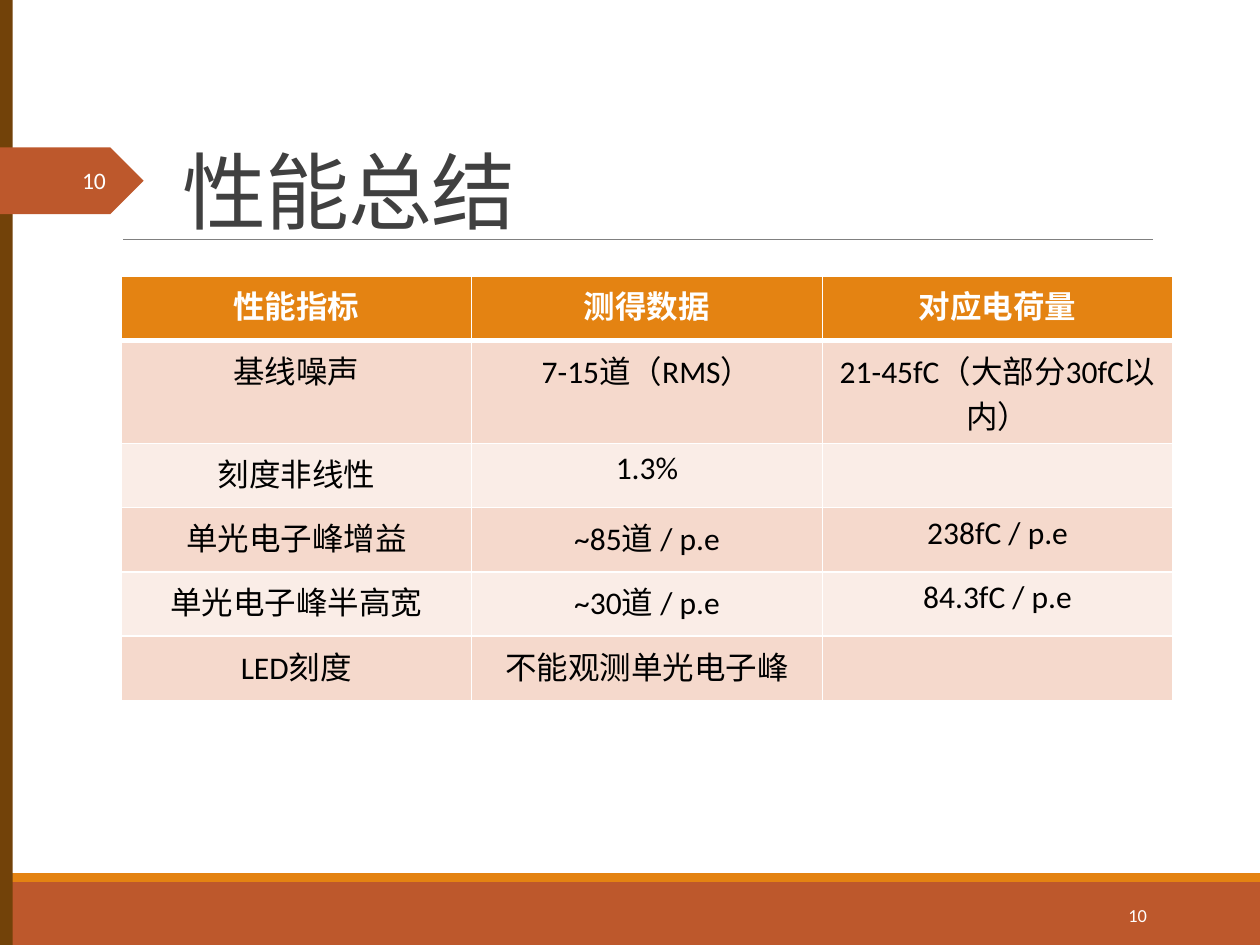
from lxml import etree
from pptx import Presentation
from pptx import util as u
from pptx.dml.color import RGBColor
from pptx.enum import shapes, text
from pptx.oxml.ns import qn

LATIN, CHINESE = "Calibri", "Noto Sans CJK SC"
WHITE, RUST, ORANGE = "FFFFFF", "BD582C", "E48312"
BAND_FILLS = ("F5D9CC", "FAEDE7")
PAGE_NUMBER = "10"
ROWS = [
    ("性能指标", "测得数据", "对应电荷量"),
    ("基线噪声", "7-15道（RMS）", "21-45fC（大部分30fC以内）"),
    ("刻度非线性", "1.3%", ""),
    ("单光电子峰增益", "~85道 / p.e", "238fC / p.e"),
    ("单光电子峰半高宽", "~30道 / p.e", "84.3fC / p.e"),
    ("LED刻度", "不能观测单光电子峰", ""),
]
# The first data row holds two lines of text.
ROW_HEIGHTS = [0.51, 0.82] + [0.51] * 4


def color(hex_value):
    return RGBColor.from_string(hex_value)


def place(left, top, width, height):
    return [u.Inches(value) for value in (left, top, width, height)]


def add_span(para, words, size, hex_value, bold=False, latin=LATIN):
    span = para.add_run()
    span.text = words
    font = span.font
    font.size, font.bold, font.name = u.Pt(size), bold, latin
    font.color.rgb = color(hex_value)
    etree.SubElement(span._r.get_or_add_rPr(), qn("a:ea"), typeface=CHINESE)
    return span


def add_block(page, kind, bounds, fill):
    block = page.shapes.add_shape(kind, *place(*bounds))
    block.shadow.inherit = False
    block.fill.solid()
    block.fill.fore_color.rgb = color(fill)
    block.line.fill.background()


def add_rule(page, left, right, top):
    rule = page.shapes.add_connector(
        shapes.MSO_CONNECTOR.STRAIGHT,
        *place(left, top, right, top))
    rule.line.color.rgb = color("808080")
    rule.line.width = u.Pt(0.5)
    etree.SubElement(rule._element.spPr, qn("a:effectLst"))


def add_page_number(page, bounds, size, side_margin):
    box = page.shapes.add_textbox(*place(*bounds))
    frame = box.text_frame
    frame.word_wrap = True
    frame.vertical_anchor = text.MSO_ANCHOR.MIDDLE
    frame.margin_left = frame.margin_right = u.Inches(side_margin)
    frame.margin_top = frame.margin_bottom = u.Inches(0.04)
    para = frame.paragraphs[0]
    para.alignment = text.PP_ALIGN.RIGHT
    add_span(para, PAGE_NUMBER, size, WHITE)


def set_title(page, words):
    title = page.shapes.title
    title.left, title.top, title.width, title.height = place(1.35, 0.37, 8.25, 1.59)
    frame = title.text_frame
    frame.word_wrap = True
    frame.auto_size = text.MSO_AUTO_SIZE.NONE
    frame.vertical_anchor = text.MSO_ANCHOR.BOTTOM
    para = frame.paragraphs[0]
    para.alignment = text.PP_ALIGN.LEFT
    para.line_spacing = 0.85
    span = add_span(para, words, 48, "404040", latin=CHINESE)
    span._r.get_or_add_rPr().set("spc", "-50")


def set_borders(cell, bottom_width, top_width):
    """Draw white cell edges; call before the fill, which must follow them in the XML."""
    properties = cell._tc.get_or_add_tcPr()
    widths = {"a:lnL": 1, "a:lnR": 1, "a:lnT": top_width, "a:lnB": bottom_width}
    for edge, width in widths.items():
        line = etree.SubElement(properties, qn(edge), w=str(u.Pt(width)))
        fill = etree.SubElement(line, qn("a:solidFill"))
        etree.SubElement(fill, qn("a:srgbClr"), val=WHITE)


def add_results_table(page):
    frame = page.shapes.add_table(
        len(ROWS), len(ROWS[0]), *place(0.96, 2.19, 8.35, sum(ROW_HEIGHTS)))
    table = frame.table
    for row_index, (row, height) in enumerate(zip(ROWS, ROW_HEIGHTS)):
        table.rows[row_index].height = u.Inches(height)
        header = row_index == 0
        fill = ORANGE if header else BAND_FILLS[(row_index - 1) % 2]
        for column_index, words in enumerate(row):
            cell = table.cell(row_index, column_index)
            set_borders(cell, 3 if header else 1, 3 if row_index == 1 else 1)
            cell.fill.solid()
            cell.fill.fore_color.rgb = color(fill)
            para = cell.text_frame.paragraphs[0]
            para.alignment = text.PP_ALIGN.CENTER
            if words:
                add_span(para, words, 18, WHITE if header else "000000", header)


def main():
    deck = Presentation()
    deck.slide_width, deck.slide_height = u.Inches(10), u.Inches(7.5)
    page = deck.slides.add_slide(deck.slide_layouts[5])
    rectangle = shapes.MSO_SHAPE.RECTANGLE
    add_block(page, rectangle, (0, 7, 10, 0.5), RUST)
    add_block(page, rectangle, (0, 6.93, 10, 0.07), ORANGE)
    add_rule(page, 0.98, 9.15, 1.9)
    add_block(page, rectangle, (0, 0, 0.1, 7.5), "724209")
    add_block(page, shapes.MSO_SHAPE.PENTAGON, (0, 1.17, 1.14, 0.53), RUST)
    add_page_number(page, (-0.16, 1.23, 1.08, 0.4), 13.5, 0.08)
    set_title(page, "性能总结")
    add_results_table(page)
    add_page_number(page, (8.12, 7.06, 1.08, 0.4), 10.5, 0.1)
    deck.save("out.pptx")


if __name__ == "__main__":
    main()
